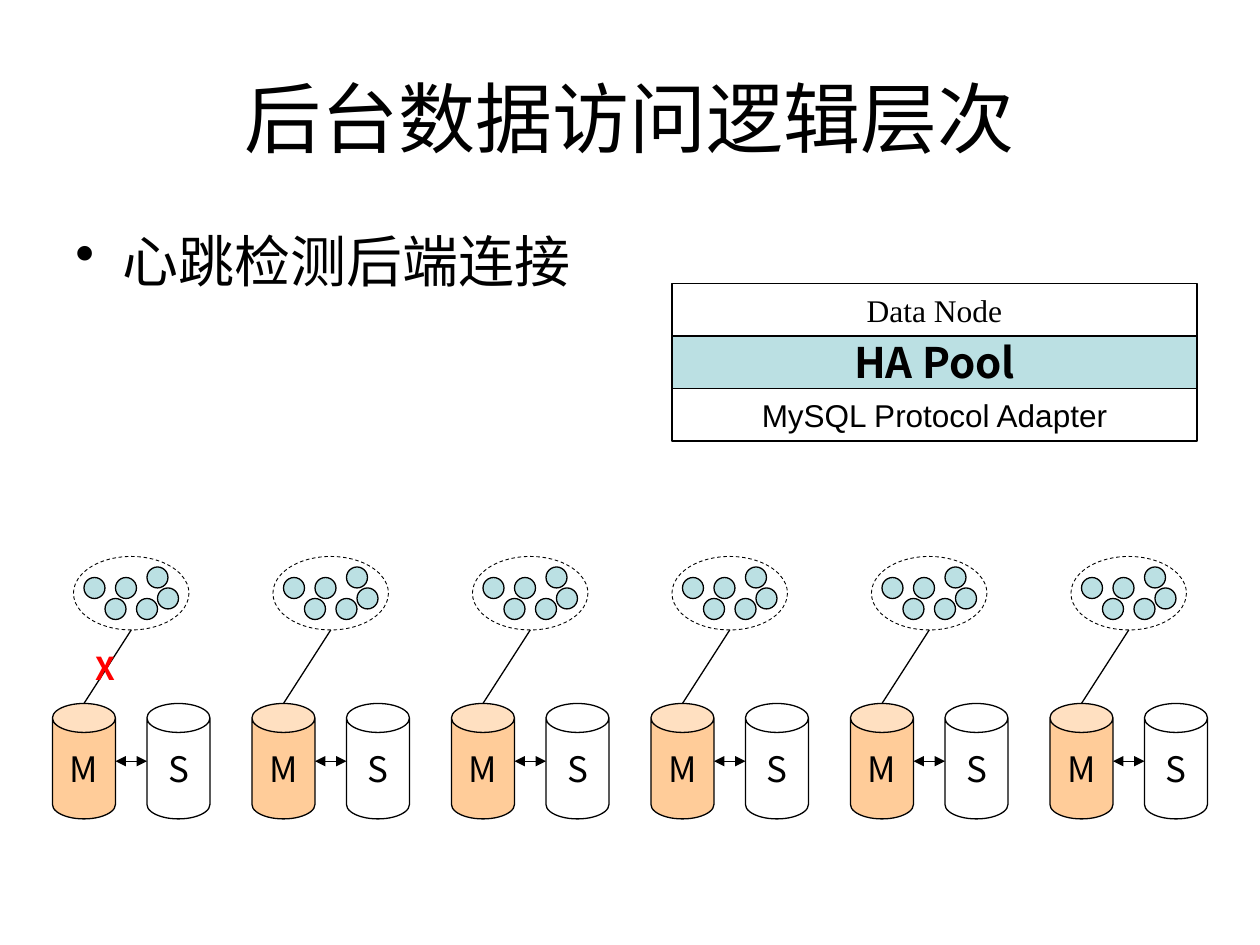
from dataclasses import dataclass

from lxml import etree
from pptx import Presentation
from pptx.dml.color import RGBColor
from pptx.enum.dml import MSO_LINE
from pptx.enum.shapes import MSO_CONNECTOR, MSO_SHAPE
from pptx.enum.text import MSO_ANCHOR, PP_ALIGN
from pptx.oxml.ns import qn
from pptx.util import Cm, Pt

CAN, OVAL, RECT = MSO_SHAPE.CAN, MSO_SHAPE.OVAL, MSO_SHAPE.RECTANGLE
STRAIGHT = MSO_CONNECTOR.STRAIGHT
DASH = MSO_LINE.DASH
CENTER, LEFT = PP_ALIGN.CENTER, PP_ALIGN.LEFT
TOP, MIDDLE = MSO_ANCHOR.TOP, MSO_ANCHOR.MIDDLE

BLACK, WHITE, RED = "000000", "FFFFFF", "FF0000"
AQUA, PEACH = "BBE0E3", "FFCC99"
ARIAL, TIMES, NOTO = "Arial", "Times New Roman", "Noto Sans CJK SC"

# The layout sits on a square grid: 12 steps to 2.54 cm
STEP = 2.54 / 12
WIDE, HIGH = 120, 90
GROUPS, PITCH = 6, 19


@dataclass
class Box:
    x: float
    y: float
    w: float
    h: float


@dataclass
class Label:
    text: str
    size: float
    font: str = ARIAL
    color: str = BLACK
    bold: bool = False


@dataclass
class Layer:
    label: Label
    fill: str


@dataclass
class Store:
    name: str
    dx: float
    fill: str


LAYERS = [
    Layer(Label("Data Node", 18, TIMES), WHITE),
    Layer(Label("HA Pool", 24, NOTO, bold=True), AQUA),
    Layer(Label("MySQL Protocol Adapter", 18), WHITE),
]
STORES = [Store("S", 9, WHITE), Store("M", 0, PEACH)]
BALLS = [(5, 57), (9, 54), (8, 57), (6, 55), (3, 55), (10, 56)]


def grid(n: float) -> int:
    return Cm(n * STEP)


def frame(box: Box) -> list[int]:
    return [grid(n) for n in (box.x, box.y, box.w, box.h)]


def rgb(color: str) -> RGBColor:
    return RGBColor.from_string(color)


def write(shape, label: Label, align=CENTER, anchor=MIDDLE, wrap=True):
    body = shape.text_frame
    body.word_wrap = wrap
    body.vertical_anchor = anchor
    para = body.paragraphs[0]
    para.text = label.text
    para.alignment = align
    font = para.font
    font.name, font.size, font.bold = label.font, Pt(label.size), label.bold
    font.color.rgb = rgb(label.color)


def add_text(slide, box: Box, label: Label, align=CENTER, anchor=MIDDLE,
             bullet: bool = False):
    shape = slide.shapes.add_textbox(*frame(box))
    if bullet:
        props = shape.text_frame.paragraphs[0]._p.get_or_add_pPr()
        props.set("marL", str(Cm(0.95)))
        props.set("indent", str(Cm(-0.95)))
        etree.SubElement(props, qn("a:buChar"), char="•")
    write(shape, label, align, anchor)


def add_form(slide, kind, box: Box, fill: str | None, width: float = 0.75):
    shape = slide.shapes.add_shape(kind, *frame(box))
    shape.shadow.inherit = False
    if fill:
        shape.fill.solid()
        shape.fill.fore_color.rgb = rgb(fill)
    else:
        shape.fill.background()
    shape.line.color.rgb = rgb(BLACK)
    shape.line.width = Pt(width)
    return shape


def add_line(slide, x1: float, y1: float, x2: float, y2: float,
             arrows: bool = False):
    ends = [grid(n) for n in (x1, y1, x2, y2)]
    line = slide.shapes.add_connector(STRAIGHT, *ends)
    line.line.color.rgb = rgb(BLACK)
    line.line.width = Pt(0.75)
    if arrows:
        for tag in ("a:headEnd", "a:tailEnd"):
            etree.SubElement(line.line._ln, qn(tag), type="triangle")
    etree.SubElement(line._element.spPr, qn("a:effectLst"))


def add_group(slide, x: float):
    # Master and slave stores
    for store in STORES:
        can = add_form(slide, CAN, Box(x + store.dx, 67, 6, 11), store.fill)
        can.adjustments[0] = 0.46
        write(can, Label(store.name, 20, NOTO), wrap=False)
    add_line(slide, x + 6, 72.5, x + 9, 72.5, arrows=True)

    # Pool of connections
    for dx, y in BALLS:
        add_form(slide, OVAL, Box(x + dx, y, 2, 2), AQUA)
    ring = add_form(slide, OVAL, Box(x + 2, 53, 11, 7), None, 0.5)
    ring.line.dash_style = DASH
    add_line(slide, x + 7.5, 60, x + 3, 67)


def main():
    deck = Presentation()
    deck.slide_width, deck.slide_height = grid(WIDE), grid(HIGH)
    slide = deck.slides.add_slide(deck.slide_layouts[6])

    # Title and bullet
    add_text(slide, Box(6, 3.6, 108, 15), Label("后台数据访问逻辑层次", 44))
    add_text(slide, Box(6, 21, 108, 25), Label("心跳检测后端连接", 32),
             LEFT, TOP, bullet=True)

    # Database groups
    for i in range(GROUPS):
        add_group(slide, 5 + i * PITCH)

    # Layer stack
    for i, layer in enumerate(LAYERS):
        bar = add_form(slide, RECT, Box(64, 27 + 5 * i, 50, 5), layer.fill)
        write(bar, layer.label, wrap=False)

    # Broken link mark
    add_text(slide, Box(7, 61.2, 6, 4.8),
             Label("X", 18, NOTO, RED, True), anchor=TOP)

    deck.save("out.pptx")


if __name__ == "__main__":
    main()
